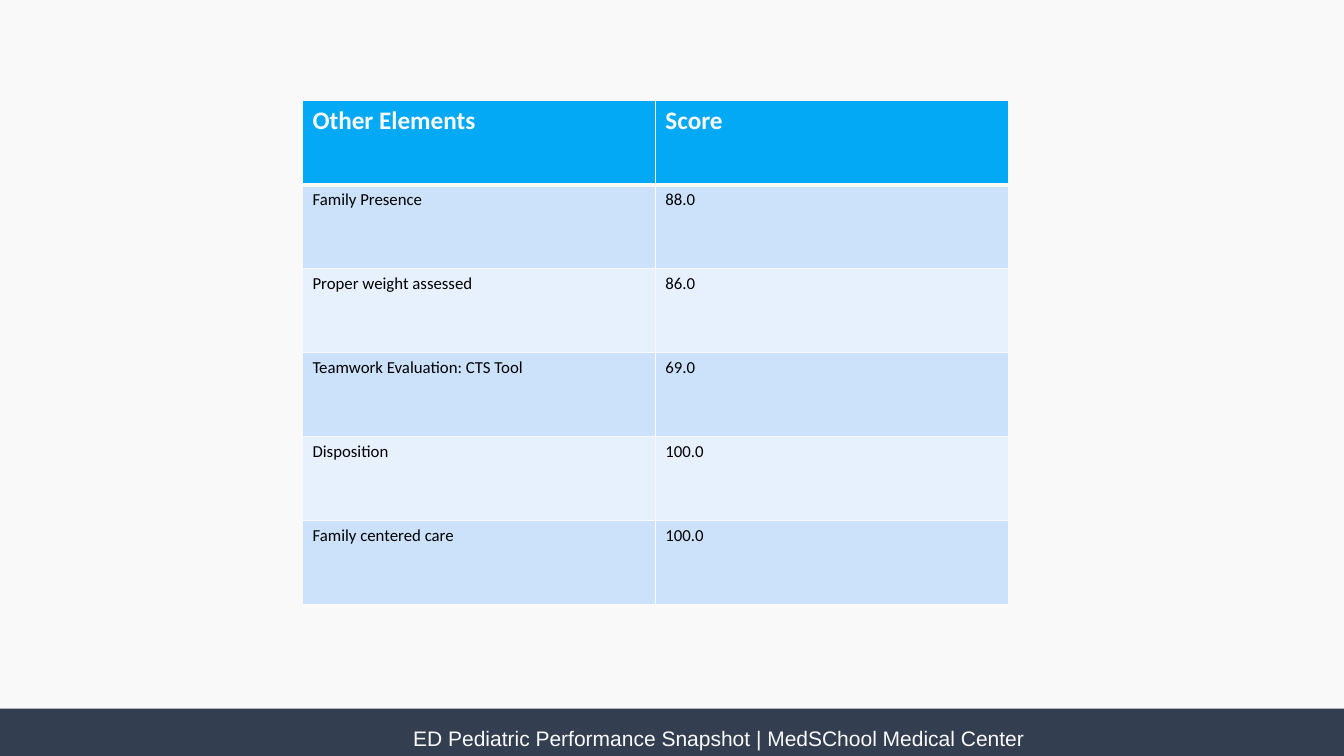
from lxml import etree
from pptx import Presentation
from pptx.dml.color import RGBColor
from pptx.enum.shapes import MSO_SHAPE
from pptx.enum.text import MSO_AUTO_SIZE
from pptx.oxml.ns import qn
from pptx.util import Inches, Pt

RECTANGLE = MSO_SHAPE.RECTANGLE
FIT_SHAPE = MSO_AUTO_SIZE.SHAPE_TO_FIT_TEXT

SCORES = [
    ("Other Elements", "Score"),
    ("Family Presence", "88.0"),
    ("Proper weight assessed", "86.0"),
    ("Teamwork Evaluation: CTS Tool", "69.0"),
    ("Disposition", "100.0"),
    ("Family centered care", "100.0"),
]
FOOTER = "ED Pediatric Performance Snapshot | MedSChool Medical Center"

PAPER = "F9F9F9"
NAVY = "333F50"
HEADER_BLUE = "03A9F4"
BANDS = ("CCE2FB", "E7F1FD")
BLACK = "000000"


def paint(fill, color):
    fill.solid()
    fill.fore_color.rgb = RGBColor.from_string(color)


def write(frame, text, font, size, color, bold=False):
    run = frame.paragraphs[0].add_run()
    run.text = text
    run.font.name = font
    run.font.size = Pt(size)
    run.font.bold = bold
    run.font.color.rgb = RGBColor.from_string(color)


def add_border(cell, side, points):
    line = etree.SubElement(cell._tc.get_or_add_tcPr(), qn(f"a:ln{side}"), w=str(Pt(points)))
    solid = etree.SubElement(line, qn("a:solidFill"))
    etree.SubElement(solid, qn("a:srgbClr"), val=PAPER)


def add_footer(slide):
    bar = slide.shapes.add_shape(RECTANGLE, 0, Inches(7.03), Inches(13.33), Inches(0.47))
    bar.shadow.inherit = False
    paint(bar.fill, NAVY)
    bar.line.fill.background()
    caption = slide.shapes.add_textbox(Inches(4), Inches(7.15), Inches(6.33), Inches(0.35))
    caption.text_frame.word_wrap = False
    caption.text_frame.auto_size = FIT_SHAPE
    write(caption.text_frame, FOOTER, "Arial", 15, PAPER)


def add_scores(slide):
    table = slide.shapes.add_table(
        len(SCORES), len(SCORES[0]), Inches(3), Inches(1), Inches(7), Inches(5)
    ).table
    for row, entries in enumerate(SCORES):
        header = row == 0
        for column, text in enumerate(entries):
            cell = table.cell(row, column)
            for side in "LRTB":
                thick = (header and side == "B") or (row == 1 and side == "T")
                add_border(cell, side, 3 if thick else 1)
            paint(cell.fill, HEADER_BLUE if header else BANDS[(row - 1) % 2])
            size, color = (18, PAPER) if header else (12, BLACK)
            write(cell.text_frame, text, "Calibri", size, color, header)


def main():
    deck = Presentation()
    deck.slide_width, deck.slide_height = Inches(13.33), Inches(7.5)
    slide = deck.slides.add_slide(deck.slide_layouts[6])
    paint(slide.background.fill, PAPER)
    add_footer(slide)
    add_scores(slide)
    deck.save("out.pptx")


if __name__ == "__main__":
    main()
